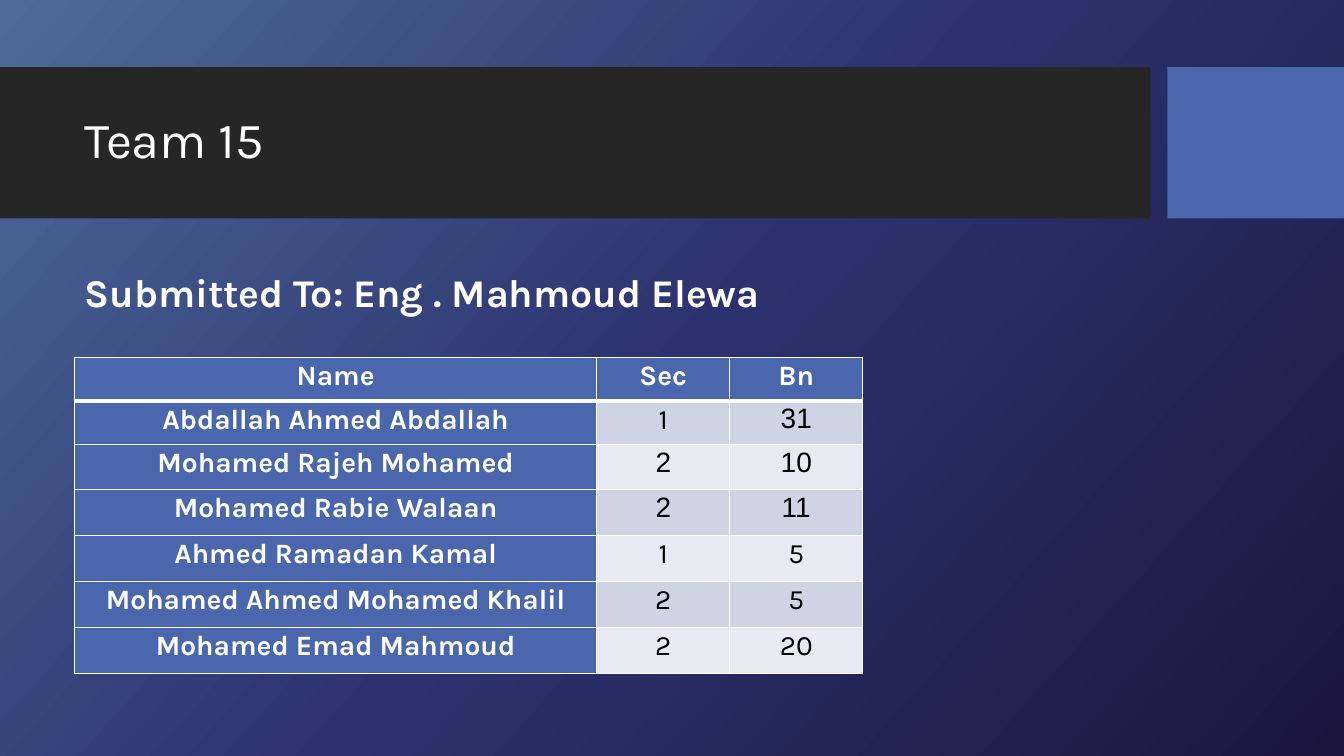
"""Build the team slide: a title band, a submission line and a member table."""
from copy import deepcopy

from lxml.etree import SubElement
from pptx import Presentation
from pptx.dml.color import RGBColor
from pptx.enum.shapes import MSO_SHAPE
from pptx.enum.text import MSO_ANCHOR, PP_ALIGN
from pptx.oxml.ns import qn
from pptx.util import Pt

FONT = "Karla"
COLORS = {
    "sky": "4D6A9B", "indigo": "2C326E", "night": "1C163D",
    "band": "262626", "accent": "4A66AC", "white": "FFFFFF",
    "black": "000000", "odd": "D0D3E3", "even": "E9EAF1",
}
LEFT = 53.3
COL_WIDTHS = (373, 95, 95)
ROW_HEIGHTS = (31.2, 31, 32, 32.8, 32.8, 32.8, 32.8)
ROWS = (
    ("Name", "Sec", "Bn"),
    ("Abdallah Ahmed Abdallah", "1", "31"),
    ("Mohamed Rajeh Mohamed", "2", "10"),
    ("Mohamed Rabie Walaan", "2", "11"),
    ("Ahmed Ramadan Kamal", "1", "5"),
    ("Mohamed Ahmed Mohamed Khalil", "2", "5"),
    ("Mohamed Emad Mahmoud", "2", "20"),
)
RTL_CELLS = {(1, 2), (2, 1), (2, 2), (3, 1), (3, 2)}


def rgb(name):
    return RGBColor.from_string(COLORS[name])


def style_run(p, size, color, bold=False):
    r = p.runs[0]
    r.font.name = FONT
    r.font.size = Pt(size)
    r.font.bold = bold
    r.font.color.rgb = rgb(color)
    return r


def set_background(s):
    fill = s.background.fill
    fill.gradient()
    fill.gradient_angle = 318
    stops = s.element.find(".//" + qn("a:gsLst"))
    stops.insert(1, deepcopy(stops[0]))
    for stop, name, position in zip(fill.gradient_stops, ("sky", "indigo", "night"), (0, 0.5, 1)):
        stop.color.rgb = rgb(name)
        stop.position = position


def add_bar(s, left, width, color):
    sp = s.shapes.add_shape(MSO_SHAPE.RECTANGLE, Pt(left), Pt(48), Pt(width), Pt(108))
    sp.shadow.inherit = False
    sp.fill.solid()
    sp.fill.fore_color.rgb = rgb(color)
    sp.line.fill.background()
    s.shapes.title.element.addprevious(sp.element)


def set_title(s, text):
    title = s.shapes.title
    title.left, title.top, title.width, title.height = Pt(LEFT), Pt(59), Pt(756.5), Pt(85)
    tf = title.text_frame
    tf.text = text
    tf.vertical_anchor = MSO_ANCHOR.MIDDLE
    p = tf.paragraphs[0]
    p.alignment = PP_ALIGN.LEFT
    p.line_spacing = 0.9
    style_run(p, 36, "white")


def add_heading(s, text):
    tf = s.shapes.add_textbox(Pt(LEFT), Pt(188), Pt(577.5), Pt(41)).text_frame
    tf.word_wrap = True
    tf.text = text
    style_run(tf.paragraphs[0], 28, "white", bold=True)


def set_borders(cell, top, bottom):
    tc_pr = cell._tc.get_or_add_tcPr()
    for tag, width in (("lnL", 1), ("lnR", 1), ("lnT", top), ("lnB", bottom)):
        ln = SubElement(tc_pr, qn("a:" + tag), w=str(Pt(width)))
        fill = SubElement(ln, qn("a:solidFill"))
        SubElement(fill, qn("a:srgbClr"), val=COLORS["white"])


def set_rtl(p, r):
    p._p.get_or_add_pPr().set("rtl", "1")
    SubElement(r.font._element, qn("a:cs"), typeface="Arial")


def fill_cell(cell, text, row, col):
    heading = row == 0 or col == 0
    cell.margin_left = cell.margin_right = Pt(5)
    cell.margin_top = cell.margin_bottom = 0
    set_borders(cell, 3 if row == 1 else 1, 3 if row == 0 else 1)
    cell.fill.solid()
    cell.fill.fore_color.rgb = rgb("accent" if heading else "odd" if row % 2 else "even")
    cell.text_frame.text = text
    p = cell.text_frame.paragraphs[0]
    p.alignment = PP_ALIGN.CENTER
    p.line_spacing = 1.07
    p.space_after = Pt(8)
    r = style_run(p, 20, "white" if heading else "black", heading)
    if (row, col) in RTL_CELLS:
        set_rtl(p, r)


def add_team_table(s):
    frame = s.shapes.add_table(len(ROWS), len(COL_WIDTHS), Pt(LEFT), Pt(255.5),
                               Pt(sum(COL_WIDTHS)), Pt(sum(ROW_HEIGHTS)))
    table = frame.table
    table.first_col = True
    for column, width in zip(table.columns, COL_WIDTHS):
        column.width = Pt(width)
    for row, (values, height) in enumerate(zip(ROWS, ROW_HEIGHTS)):
        table.rows[row].height = Pt(height)
        for col, text in enumerate(values):
            fill_cell(table.cell(row, col), text, row, col)


def main():
    prs = Presentation()
    prs.slide_width, prs.slide_height = Pt(960), Pt(540)
    s = prs.slides.add_slide(prs.slide_layouts[5])
    set_background(s)
    add_bar(s, 0, 821.8, "band")
    add_bar(s, 833.8, 126.2, "accent")
    set_title(s, "Team 15")
    add_team_table(s)
    add_heading(s, "Submitted To: Eng . Mahmoud Elewa")
    prs.save("out.pptx")


if __name__ == "__main__":
    main()
